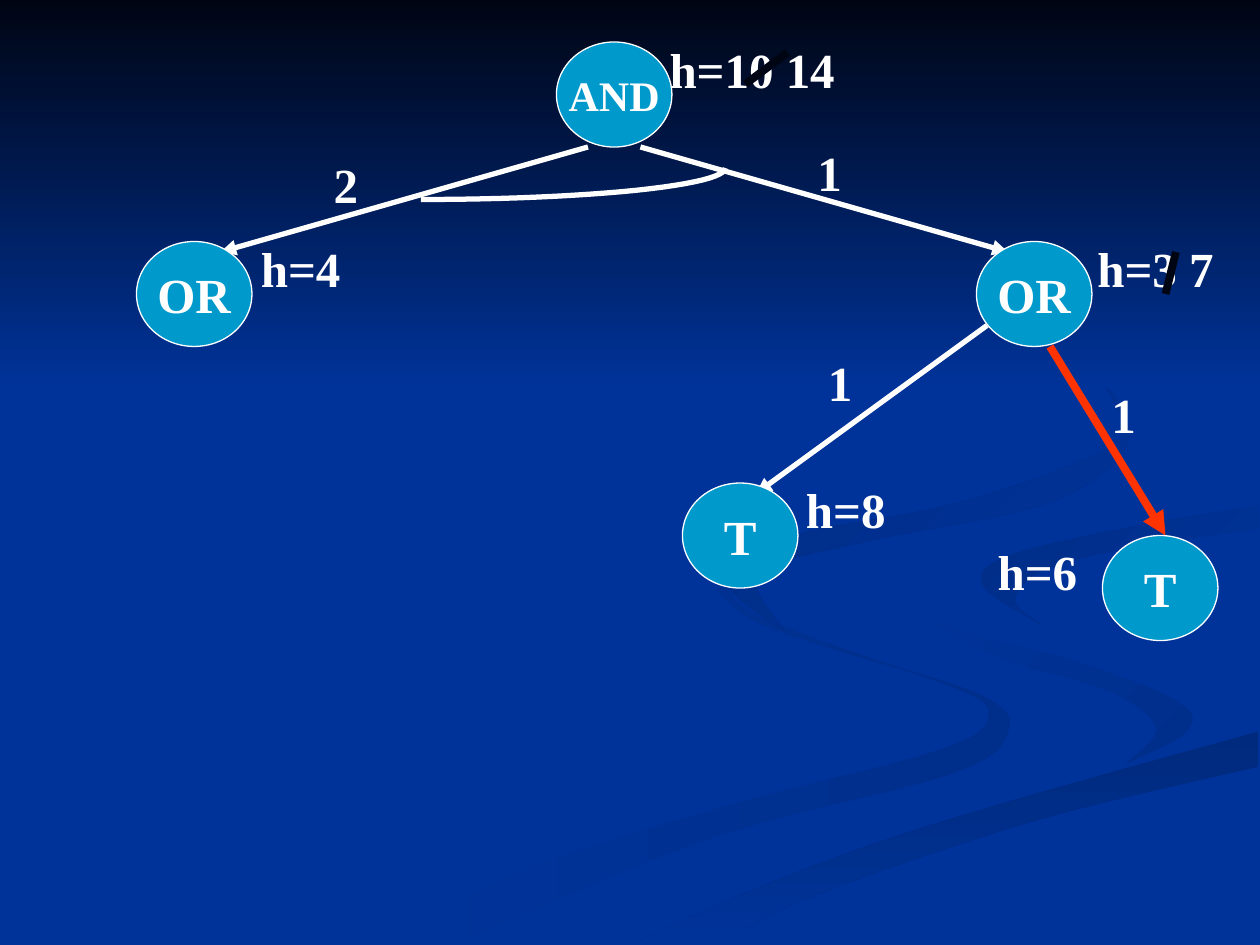
import math

import pptx
import pptx.dml.color
import pptx.enum.shapes
import pptx.enum.text
import pptx.oxml.ns
import pptx.util
from lxml import etree

Pt = pptx.util.Pt
Shape = pptx.enum.shapes.MSO_SHAPE

# ---- Content ----
COLORS = {"ground": "003399", "night": "000514", "node": "0099CC",
          "white": "FFFFFF", "path": "FF3300", "shade1": "002E8B",
          "shade2": "002A7D", "shade3": "002D86", "shade4": "002B82"}
FONT = "Times New Roman"
NODE_SIZE = (66, 60)
LABEL_HEIGHT = 41
LABEL_WIDTHS = {1: 29.5, 3: 64, 5: 87, 7: 118}  # by number of characters

# Ribbons: start colour, end colour, clockwise angle, key points of both edges
RIBBONS = [
    ("ground", "shade1", 0,
     [(414, 330), (428, 349), (491, 374), (562, 398), (576, 418), (544, 442),
      (406, 479), (260, 539)],
     [(216, 539), (300, 497), (417, 460), (539, 428), (565, 408), (541, 391),
      (440, 359), (410, 338)]),
    ("ground", "shade1", 45,
     [(521, 334), (546, 359), (612, 377), (673, 401), (678, 418), (644, 436)],
     [(644, 436), (661, 416), (634, 395), (574, 377), (532, 356)]),
    ("shade2", "ground", 90,
     [(362, 539), (454, 499), (550, 466), (719, 418)],
     [(719, 438), (591, 469), (467, 511), (411, 539)]),
    ("shade3", "ground", 45,
     [(595, 357), (562, 335), (575, 318), (647, 301), (719, 289)],
     [(719, 302), (645, 313), (596, 326), (580, 343), (595, 357)]),
    ("shade4", "ground", 45,
     [(549, 168), (607, 198), (641, 233), (640, 261), (594, 289), (492, 310),
      (433, 328), (448, 360)],
     [(448, 360), (416, 333), (450, 307), (549, 287), (635, 255), (637, 230),
      (609, 201), (549, 168)]),
]
SKY = ("night", "ground", 90)
SKY_HEIGHT = 222
CURVE_STEPS = 6

# Edges and strikes: start, end, colour, width
EDGES = [
    ((336, 84), (126, 144), "white", 3),
    ((366, 84), (576, 144), "white", 3),
    ((564, 186), (432, 282), "white", 3),
    ((600, 198), (666, 306), "path", 4.5),
]
STRIKES = [
    ((666, 168), (672, 144), "night", 4.5),
    ((426, 48), (450, 30), "night", 4.5),
]
# Quarter ellipse joining the two AND branches
ARC_CENTER, ARC_RADII, ARC_STEPS = (240.5, 96), (174, 18), 24

# Nodes: text, left, top, text size
NODES = [
    ("AND", 318, 24, 24),
    ("OR", 78, 138, 28),
    ("OR", 558, 138, 28),
    ("T", 390, 276, 28),
    ("T", 630, 306, 28),
]
# Labels: text, left, top
LABELS = [
    ("h=10 14", 375.5, 19), ("h=4", 142, 132.5), ("h=3 7", 620, 132.5),
    ("h=8", 453.5, 270.5), ("h=6", 563, 306), ("2", 183.5, 85),
    ("1", 460, 78), ("1", 466, 198), ("1", 628, 216),
]


# ---- Helpers ----
def rgb(name):
    return pptx.dml.color.RGBColor.from_string(COLORS[name])


def set_line(item, color, width):
    item.line.color.rgb = rgb(color)
    item.line.width = Pt(width)


def smooth(keys):
    """Pass a Catmull-Rom curve through the key points."""
    padded = [keys[0], *keys, keys[-1]]
    points = []
    for a, b, c, d in zip(padded, padded[1:], padded[2:], padded[3:]):
        for step in range(CURVE_STEPS):
            t = step / CURVE_STEPS
            points.append(tuple(
                q + t / 2 * (r - p + t * (2 * p - 5 * q + 4 * r - s
                                          + t * (3 * (q - r) + s - p)))
                for p, q, r, s in zip(a, b, c, d)))
    return points + [keys[-1]]


def draw_outline(points, close):
    corners = [(Pt(x), Pt(y)) for x, y in points]
    builder = page.shapes.build_freeform(*corners[0])
    builder.add_line_segments(corners[1:], close=close)
    shape = builder.convert_to_shape()
    shape.shadow.inherit = False
    return shape


def fill_gradient(shape, first, last, angle):
    shape.line.fill.background()
    shape.fill.gradient()
    shape.fill.gradient_angle = -angle % 360
    for stop, color in zip(shape.fill.gradient_stops, (first, last)):
        stop.color.rgb = rgb(color)


def draw_line(start, end, color, width, arrow=False):
    line = page.shapes.add_connector(
        pptx.enum.shapes.MSO_CONNECTOR.STRAIGHT, *map(Pt, start + end))
    set_line(line, color, width)
    if arrow:
        etree.SubElement(line.line._get_or_add_ln(),
                         pptx.oxml.ns.qn("a:tailEnd"), type="triangle")
    etree.SubElement(line._element.spPr, pptx.oxml.ns.qn("a:effectLst"))


def write(shape, text, size, frame_format, alignment):
    for name, value in frame_format.items():
        setattr(shape.text_frame, name, value)
    para = shape.text_frame.paragraphs[0]
    para.alignment = alignment
    span = para.add_run()
    span.text = text
    font_format = {"name": FONT, "size": Pt(size), "bold": True}
    for name, value in font_format.items():
        setattr(span.font, name, value)
    span.font.color.rgb = rgb("white")


# ---- Page ----
deck = pptx.Presentation()
deck.slide_width, deck.slide_height = Pt(720), Pt(540)
page = deck.slides.add_slide(deck.slide_layouts[6])
page.background.fill.solid()
page.background.fill.fore_color.rgb = rgb("ground")

# Background ribbons and dark sky
for first, last, angle, outer, inner in RIBBONS:
    ribbon = draw_outline(smooth(outer) + smooth(inner), True)
    fill_gradient(ribbon, first, last, angle)
sky = page.shapes.add_shape(Shape.RECTANGLE, 0, 0, deck.slide_width, Pt(SKY_HEIGHT))
sky.shadow.inherit = False
fill_gradient(sky, *SKY)

# Tree edges and the AND arc
for edge in EDGES:
    draw_line(*edge, arrow=True)
turns = [math.pi / 2 * step / ARC_STEPS for step in range(ARC_STEPS + 1)]
arc = draw_outline([(ARC_CENTER[0] + ARC_RADII[0] * math.sin(turn),
                     ARC_CENTER[1] + ARC_RADII[1] * math.cos(turn))
                    for turn in turns], False)
arc.fill.background()
set_line(arc, "white", 3)

# Nodes
for text, left, top, size in NODES:
    node = page.shapes.add_shape(Shape.FLOWCHART_CONNECTOR,
                                 *map(Pt, (left, top) + NODE_SIZE))
    node.shadow.inherit = False
    node.fill.solid()
    node.fill.fore_color.rgb = rgb("node")
    set_line(node, "white", 0.75)
    write(node, text, size,
          {"word_wrap": False,
           "vertical_anchor": pptx.enum.text.MSO_ANCHOR.MIDDLE},
          pptx.enum.text.PP_ALIGN.CENTER)

# Cost labels, then strikes over the old values
for text, left, top in LABELS:
    width = LABEL_WIDTHS[len(text)]
    box = page.shapes.add_textbox(*map(Pt, (left, top, width, LABEL_HEIGHT)))
    write(box, text, 28,
          {"word_wrap": False,
           "auto_size": pptx.enum.text.MSO_AUTO_SIZE.SHAPE_TO_FIT_TEXT},
          pptx.enum.text.PP_ALIGN.LEFT)
for strike in STRIKES:
    draw_line(*strike)

deck.save("out.pptx")
